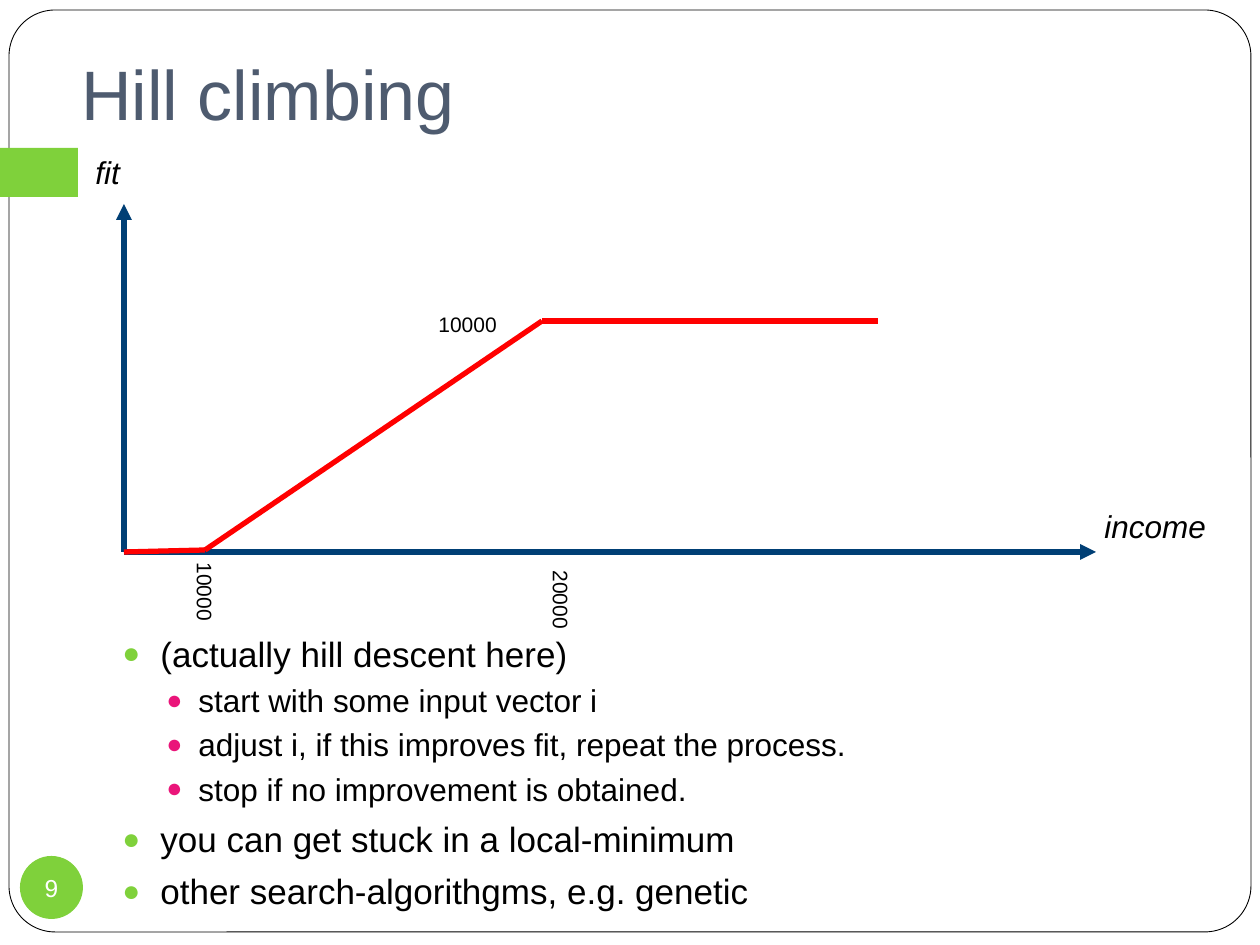
from itertools import pairwise

from lxml import etree
from pptx import Presentation
from pptx.dml.color import RGBColor
from pptx.enum.shapes import MSO_CONNECTOR, MSO_SHAPE
from pptx.enum.text import MSO_ANCHOR, PP_ALIGN
from pptx.oxml.ns import qn
from pptx.util import Emu, Pt

LINE = MSO_CONNECTOR.STRAIGHT
ROUND, RECT, OVAL = MSO_SHAPE.ROUNDED_RECTANGLE, MSO_SHAPE.RECTANGLE, MSO_SHAPE.OVAL
TOP, MIDDLE, BOTTOM = MSO_ANCHOR.TOP, MSO_ANCHOR.MIDDLE, MSO_ANCHOR.BOTTOM
LEFT, CENTER = PP_ALIGN.LEFT, PP_ALIGN.CENTER

BLACK = RGBColor(0x00, 0x00, 0x00)
WHITE = RGBColor(0xFF, 0xFF, 0xFF)
GREEN = RGBColor(0x7F, 0xD1, 0x3B)
PINK = RGBColor(0xEA, 0x15, 0x7A)
SLATE = RGBColor(0x4E, 0x5B, 0x6F)
NAVY = RGBColor(0x00, 0x3F, 0x75)
RED = RGBColor(0xFF, 0x00, 0x00)

TITLE = "Hill climbing"
NOTES = [
    (0, "(actually hill descent here)"),
    (1, "start with some input vector i"),
    (1, "adjust i, if this improves fit, repeat the process."),
    (1, "stop if no improvement is obtained."),
    (0, "you can get stuck in a local-minimum"),
    (0, "other search-algorithgms, e.g. genetic"),
]
LEVELS = [
    {"size": 20, "before": 5.8, "left": 38, "hang": 38, "dot": GREEN},
    {"size": 18, "before": 3.8, "left": 76, "hang": 32, "dot": PINK},
]
NAMES = [("income", (1092, 501, 129, 50)), ("fit", (83, 147, 50, 50))]
TICKS = [
    ("10000", (163, 573, 84, 38), 90),
    ("20000", (519, 581, 84, 38), 90),
    ("10000", (426, 305, 84, 38), 0),
]
ORIGIN = (124, 552)
AXES = [(1096, 552), (124, 204)]
CURVE = [ORIGIN, (205, 550), (542, 321), (878, 321)]


def px(n):
    """Turn pixels into EMU."""
    return Emu(round(n * 914400 / 126))


def add_form(slide, kind, box, fill, line=None):
    """Add a filled shape with an optional thin outline."""
    form = slide.shapes.add_shape(kind, *map(px, box))
    form.shadow.inherit = False
    form.fill.solid()
    form.fill.fore_color.rgb = fill
    if line is None:
        form.line.fill.background()
    else:
        form.line.color.rgb = line
        form.line.width = Pt(0.5)
    return form


def add_line(slide, start, end, color, arrow=False):
    """Add a thick line, with an arrowhead at its end if asked."""
    line = slide.shapes.add_connector(LINE, *map(px, start + end))
    line.line.color.rgb = color
    line.line.width = Pt(3)
    if arrow:
        etree.SubElement(line.line._get_or_add_ln(), qn("a:tailEnd"), type="triangle")
    etree.SubElement(line._element.spPr, qn("a:effectLst"))


def add_dot(para, left, hang, color):
    """Give a paragraph a hanging round bullet."""
    props = para._p.get_or_add_pPr()
    props.set("marL", str(px(left)))
    props.set("indent", str(-px(hang)))
    tint = etree.SubElement(props, qn("a:buClr"))
    etree.SubElement(tint, qn("a:srgbClr"), val=str(color))
    etree.SubElement(props, qn("a:buSzPct"), val="85000")
    etree.SubElement(props, qn("a:buFont"), typeface="Arial")
    etree.SubElement(props, qn("a:buChar"), char="●")


def put_text(para, text, size=18, color=BLACK, italic=False, align=LEFT, before=0):
    """Write one formatted run into a paragraph."""
    para.alignment = align
    para.space_before = Pt(before)
    run = para.add_run()
    run.text = text
    font = run.font
    font.name, font.size, font.italic = "Arial", Pt(size), italic
    font.color.rgb = color


def add_box(slide, box, wrap=False, anchor=TOP, turn=0):
    """Add an empty text box and return its text frame."""
    shape = slide.shapes.add_textbox(*map(px, box))
    shape.rotation = turn
    frame = shape.text_frame
    frame.word_wrap = wrap
    frame.vertical_anchor = anchor
    return frame


def add_notes(slide):
    """Write the bullet list."""
    frame = add_box(slide, (110, 626, 1152, 159), wrap=True)
    for i, (depth, text) in enumerate(NOTES):
        para = frame.add_paragraph() if i else frame.paragraphs[0]
        para.level = depth
        level = LEVELS[depth]
        put_text(para, text, size=level["size"], before=level["before"])
        add_dot(para, level["left"], level["hang"], level["dot"])


def add_badge(slide):
    """Draw the page number in its disc."""
    frame = add_form(slide, OVAL, (20, 856, 63, 63), GREEN).text_frame
    frame.margin_left = frame.margin_right = frame.margin_top = frame.margin_bottom = 0
    frame.word_wrap = False
    frame.vertical_anchor = MIDDLE
    put_text(frame.paragraphs[0], "9", size=14, color=WHITE, align=CENTER)


def add_graph(slide):
    """Draw the axes, their labels and the fitness curve."""
    for end in AXES:
        add_line(slide, ORIGIN, end, NAVY, arrow=True)
    for text, box in NAMES:
        put_text(add_box(slide, box).paragraphs[0], text, italic=True)
    for text, box, turn in TICKS:
        put_text(add_box(slide, box, turn=turn).paragraphs[0], text, size=12)
    for start, end in pairwise(CURVE):
        add_line(slide, start, end, RED)


def main():
    """Build the slide and save it."""
    deck = Presentation()
    deck.slide_width, deck.slide_height = px(1260), px(945)
    slide = deck.slides.add_slide(deck.slide_layouts[6])
    frame = add_form(slide, ROUND, (9, 10, 1242, 922), WHITE, line=BLACK)
    frame.adjustments[0] = 0.05
    add_form(slide, RECT, (0, 148, 78, 49), GREEN)
    head = add_box(slide, (69, 38, 1152, 110), wrap=True, anchor=BOTTOM)
    head.margin_bottom = px(13)
    put_text(head.paragraphs[0], TITLE, size=40, color=SLATE)
    add_notes(slide)
    add_badge(slide)
    add_graph(slide)
    deck.save("out.pptx")


if __name__ == "__main__":
    main()
